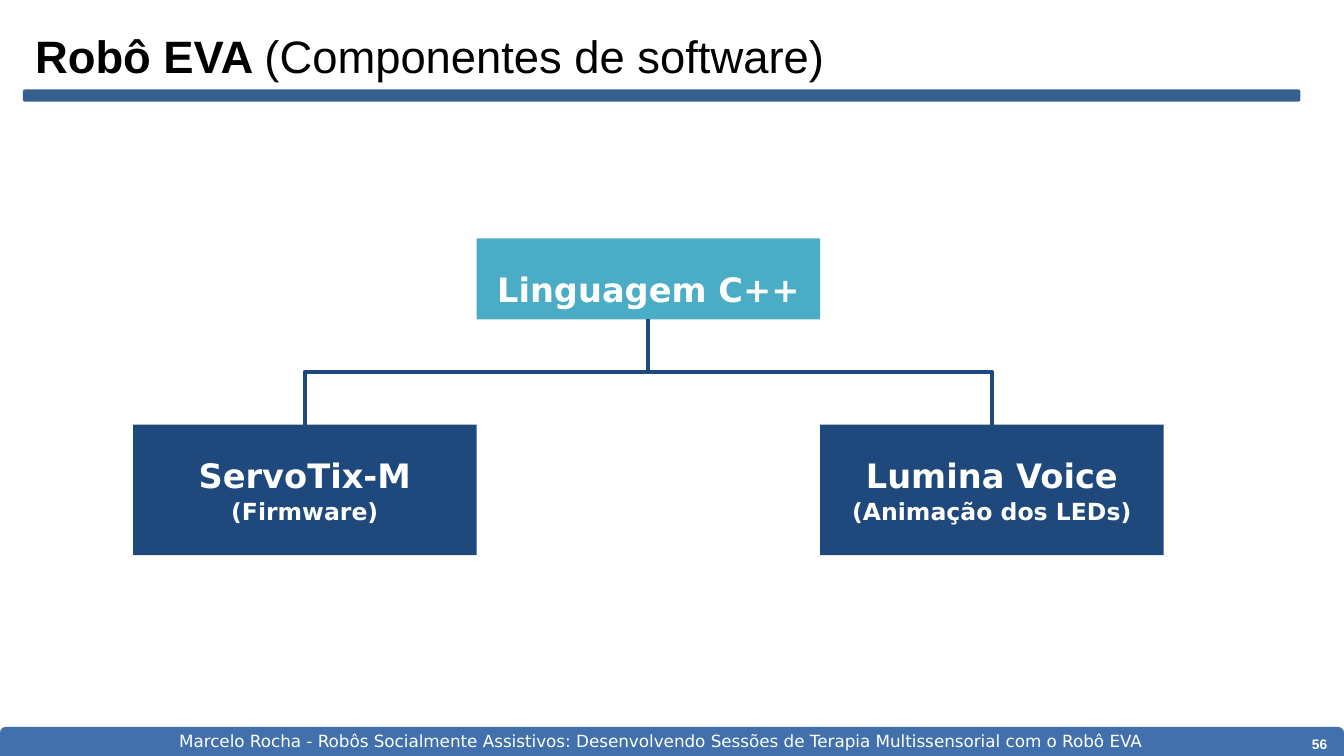
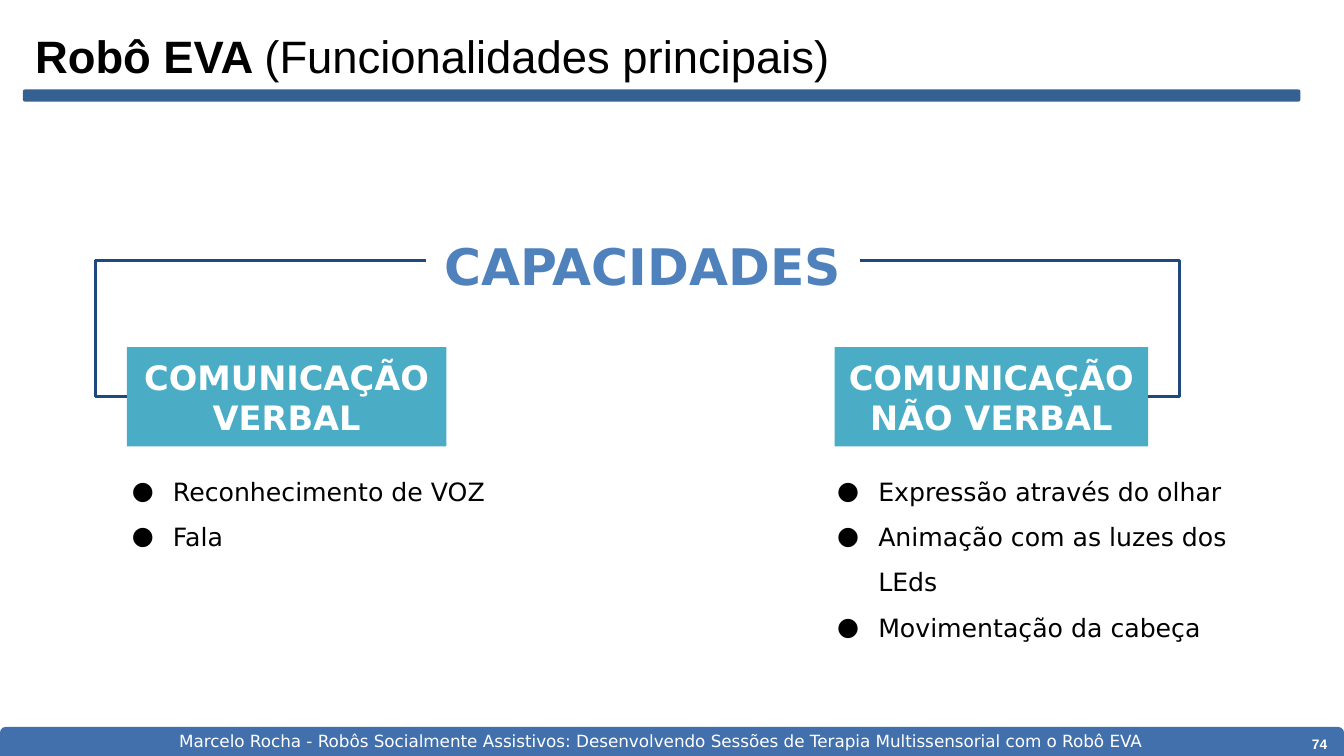
from dataclasses import dataclass

from lxml.etree import SubElement
from pptx import Presentation
from pptx.dml.color import RGBColor
from pptx.enum.shapes import MSO_CONNECTOR, MSO_SHAPE
from pptx.enum.text import MSO_ANCHOR, MSO_AUTO_SIZE, PP_ALIGN
from pptx.oxml.ns import qn
from pptx.util import Inches, Pt


@dataclass(frozen=True)
class Theme:
    heading_font: str = "Arial"
    body_font: str = "DejaVu Sans"
    footer_band: str = "4270AC"
    title_rule: str = "366092"
    navy: str = "1F497D"
    teal: str = "4BACC6"
    blue: str = "4F81BD"
    black: str = "000000"
    white: str = "FFFFFF"
    title_size: float = 27
    headline_size: float = 30
    box_size: float = 20
    detail_size: float = 14
    list_size: float = 15
    footer_size: float = 10
    number_size: float = 8.2


theme = Theme()


def add_block(slide, kind, box, color):
    """Add a flat filled shape without outline or shadow."""
    shape = slide.shapes.add_shape(kind, *map(Inches, box))
    shape.shadow.inherit = False
    shape.fill.solid()
    shape.fill.fore_color.rgb = RGBColor.from_string(color)
    shape.line.fill.background()
    return shape


def write_text(shape, paragraphs, color, font=theme.body_font, align=PP_ALIGN.CENTER,
               anchor=MSO_ANCHOR.MIDDLE, inset=0.1):
    """Write paragraphs, each a list of (text, size, bold) runs."""
    frame = shape.text_frame
    frame.word_wrap = True
    frame.auto_size = MSO_AUTO_SIZE.NONE
    frame.vertical_anchor = anchor
    frame.margin_left = frame.margin_right = Inches(0.1)
    frame.margin_top = frame.margin_bottom = Inches(inset)
    for index, runs in enumerate(paragraphs):
        paragraph = frame.add_paragraph() if index else frame.paragraphs[0]
        paragraph.alignment = align
        paragraph.space_before = Pt(0.8 if index else 0)
        for text, size, bold in runs:
            run = paragraph.add_run()
            run.text = text
            run.font.name = font
            run.font.size = Pt(size)
            run.font.bold = bold
            run.font.color.rgb = RGBColor.from_string(color)
    return frame


presentation = Presentation()
presentation.slide_width = Inches(11.11)
presentation.slide_height = Inches(6.25)
software_slide = presentation.slides.add_slide(presentation.slide_layouts[5])
features_slide = presentation.slides.add_slide(presentation.slide_layouts[3])

# Bands shared through the slide master
bands = [
    ((0, 6.01, 11.11, 0.28), theme.footer_band),
    ((0.19, 0.74, 10.56, 0.1), theme.title_rule),
]
master_tree = presentation.slide_master.shapes.element
for index, (box, color) in enumerate(bands):
    band = add_block(software_slide, MSO_SHAPE.ROUNDED_RECTANGLE, box, color)
    band.element.nvSpPr.cNvPr.set("id", str(101 + index))
    master_tree.insert(2 + index, band.element)

# Title, footer and number of each slide
footer = ("Marcelo Rocha - Robôs Socialmente Assistivos: Desenvolvendo Sessões de "
          "Terapia Multissensorial com o Robô EVA")
headings = [
    (software_slide, "(Componentes de software)", "56"),
    (features_slide, "(Funcionalidades principais)", "74"),
]
for slide, topic, number in headings:
    title = slide.shapes.title
    title.left, title.top, title.width, title.height = map(Inches, (0.19, 0.15, 10.56, 0.58))
    write_text(title, [[("Robô EVA ", theme.title_size, True), (topic, theme.title_size, False)]],
               theme.black, theme.heading_font, PP_ALIGN.LEFT, MSO_ANCHOR.BOTTOM, 0.05)
    number_box = slide.shapes.add_textbox(*map(Inches, (9.77, 6.06, 1.3, 0.19)))
    write_text(number_box, [[(number, theme.number_size, True)]], theme.white,
               theme.heading_font, PP_ALIGN.RIGHT, inset=0.05)
    footer_box = slide.shapes.add_textbox(*map(Inches, (1.11, 5.94, 8.7, 0.37)))
    write_text(footer_box, [[(footer, theme.footer_size, False)]], theme.white,
               anchor=MSO_ANCHOR.TOP)

links = []  # slide, begin shape, begin site, end shape, end site, line width

# Software slide: language above its two components
box_width, first_left = 2.84, 1.1
language = add_block(software_slide, MSO_SHAPE.RECTANGLE,
                     (first_left + box_width, 1.97, box_width, 0.67), theme.teal)
language_text = write_text(language, [[("Linguagem C++", theme.box_size, True)]],
                           theme.white, inset=0.05)
language_text.paragraphs[0].line_spacing = 1.5

components = [(0, "ServoTix-M", "(Firmware)"), (2, "Lumina Voice", "(Animação dos LEDs)")]
for column, name, role in components:
    component = add_block(software_slide, MSO_SHAPE.RECTANGLE,
                          (first_left + column * box_width, 3.51, box_width, 1.08), theme.navy)
    write_text(component, [[(name, theme.box_size, True)], [(role, theme.detail_size, True)]],
               theme.white, inset=0.05)
    links.append((software_slide, language, 2, component, 0, 2.25))

# Features slide: headline, two groups and their lists
headline = features_slide.shapes.add_textbox(*map(Inches, (3.52, 1.84, 3.59, 0.63)))
write_text(headline, [[("CAPACIDADES", theme.headline_size, True)]], theme.blue,
           anchor=MSO_ANCHOR.TOP)

groups = [
    ("COMUNICAÇÃO VERBAL", (1.05, 2.87, 2.64, 0.82), 1,
     (0.83, 3.71, 3.36, 1), ["Reconhecimento de VOZ", "Fala"]),
    ("COMUNICAÇÃO NÃO VERBAL", (6.9, 2.87, 2.59, 0.82), 3,
     (6.66, 3.71, 3.66, 1.75),
     ["Expressão através do olhar", "Animação com as luzes dos LEds", "Movimentação da cabeça"]),
]
for index, (label, box, site, list_box, items) in enumerate(groups, start=1):
    group = add_block(features_slide, MSO_SHAPE.RECTANGLE, box, theme.teal)
    write_text(group, [[(label, theme.box_size, True)]], theme.white)
    links.append((features_slide, headline, site, group, site, 1.5))

    bullets = features_slide.placeholders[index]
    bullets.left, bullets.top, bullets.width, bullets.height = map(Inches, list_box)
    frame = write_text(bullets, [[(item, theme.list_size, False)] for item in items],
                       theme.black, align=PP_ALIGN.LEFT, anchor=MSO_ANCHOR.TOP)
    for paragraph in frame.paragraphs:
        properties = paragraph._p.get_or_add_pPr()
        properties.set("marL", str(Inches(0.5)))
        properties.set("indent", str(-Inches(0.34)))
        bullet_color = SubElement(properties, qn("a:buClr"))
        SubElement(bullet_color, qn("a:srgbClr"), val=theme.black)
        SubElement(properties, qn("a:buFont"), typeface=theme.body_font)
        SubElement(properties, qn("a:buChar"), char="●")
        paragraph.space_before = Pt(0)
        paragraph.line_spacing = 1.5

# Elbow connectors of both slides
for slide, begin, begin_site, end, end_site, weight in links:
    connector = slide.shapes.add_connector(MSO_CONNECTOR.ELBOW, 0, 0, 0, 0)
    connector.begin_connect(begin, begin_site)
    connector.end_connect(end, end_site)
    connector.line.color.rgb = RGBColor.from_string(theme.navy)
    connector.line.width = Pt(weight)
    properties = connector.element.spPr
    SubElement(properties, qn("a:effectLst"))
    if begin_site == 2:
        # Turn the elbow so that it leaves downwards
        goes_left = connector.end_x < connector.begin_x
        across, down = connector.width, connector.height
        connector.left += (across - down) // 2
        connector.top += (down - across) // 2
        connector.width, connector.height = down, across
        properties.xfrm.rot = 90 if goes_left else 270
        properties.xfrm.flipH = not goes_left
    else:
        # Carry the elbow past the outer side of the group
        reach = 1 + Inches(0.26) / connector.width
        adjustments = properties.find(qn("a:prstGeom")).get_or_add_avLst()
        SubElement(adjustments, qn("a:gd"), name="adj1", fmla=f"val {round(reach * 100000)}")

presentation.save("out.pptx")
